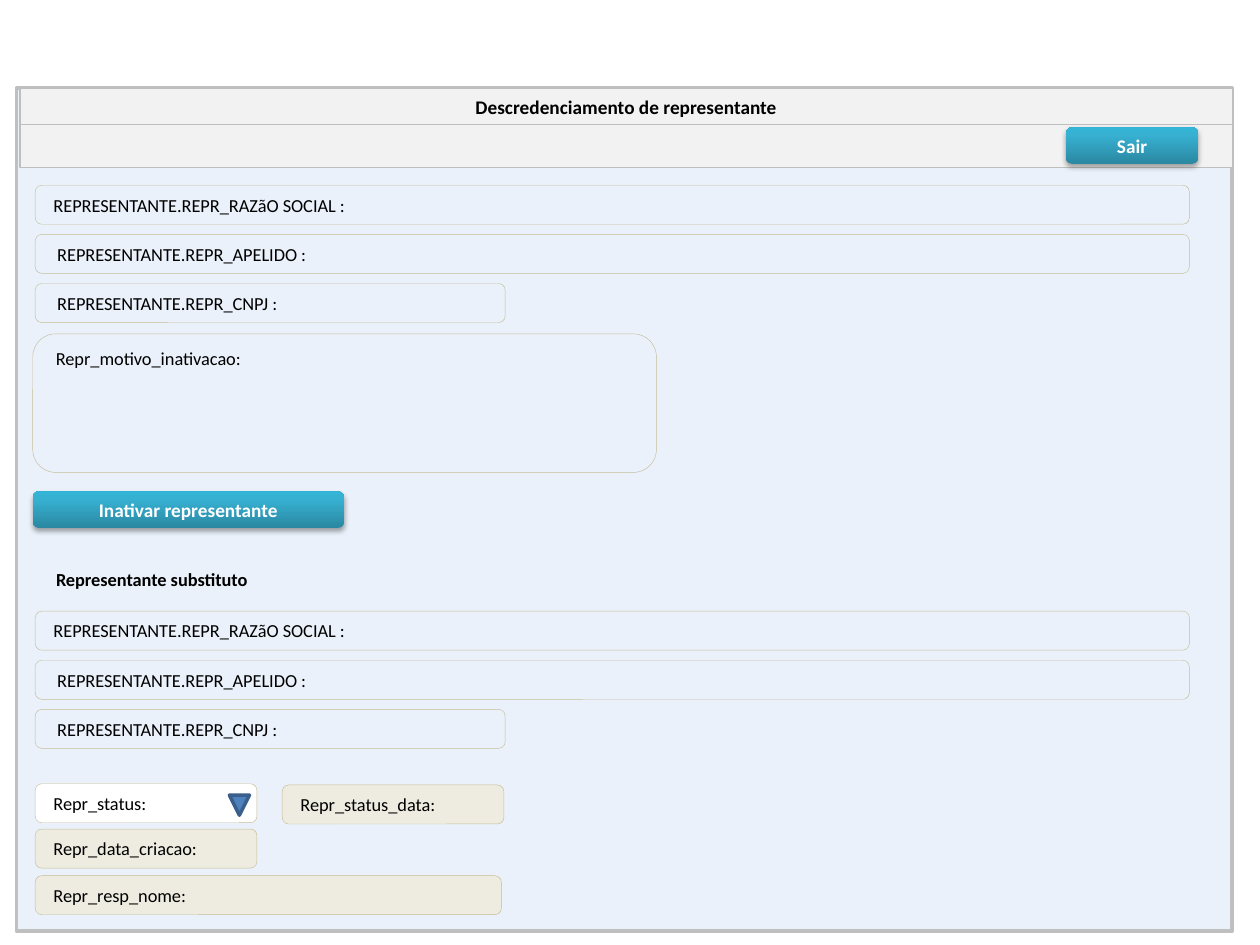
from dataclasses import dataclass
from typing import Optional

from pptx import Presentation
from pptx.dml.color import RGBColor
from pptx.enum.shapes import MSO_SHAPE
from pptx.enum.text import MSO_ANCHOR, MSO_AUTO_SIZE, PP_ALIGN
from pptx.oxml import parse_xml
from pptx.oxml.ns import qn
from pptx.util import Inches, Pt

RECT, ROUNDED = MSO_SHAPE.RECTANGLE, MSO_SHAPE.ROUNDED_RECTANGLE
TRIANGLE = MSO_SHAPE.FLOWCHART_EXTRACT
TOP, MIDDLE = MSO_ANCHOR.TOP, MSO_ANCHOR.MIDDLE
LEFT, CENTER = PP_ALIGN.LEFT, PP_ALIGN.CENTER
TITLE_ONLY = 5
FONT = "Calibri"
DRAWING_NS = 'xmlns:a="http://schemas.openxmlformats.org/drawingml/2006/main"'

COLORS = {
    "panel": "EAF1FA",
    "bar": "F2F2F2",
    "frame": "BFBFBF",
    "field_line": "C4BD97",
    "read_only": "EEECE1",
    "white": "FFFFFF",
    "text": "000000",
    "arrow": "4F81BD",
    "arrow_line": "3A5F8C",
    "button_dark": "2A88A2",
    "button_mid": "37B1D2",
    "button_light": "34B4D6",
}

FIELD_LEFT = 0.28
FIELD_HEIGHT = 0.31
FIELD_PITCH = 0.39
WIDE, MEDIUM, NARROW = 9.16, 3.73, 1.76


@dataclass
class Field:
    label: str
    top: float
    width: float
    left: float = FIELD_LEFT
    height: float = FIELD_HEIGHT
    indent: float = 0.13
    fill: Optional[str] = None
    line: Optional[str] = "field_line"
    anchor: MSO_ANCHOR = MIDDLE
    bold: bool = False


@dataclass
class Button:
    label: str
    left: float
    top: float
    width: float


def representative_fields(top: float) -> list[Field]:
    return [
        Field("REPRESENTANTE.REPR_RAZãO SOCIAL :", top, WIDE),
        Field("REPRESENTANTE.REPR_APELIDO :", top + FIELD_PITCH, WIDE, indent=0.16),
        Field("REPRESENTANTE.REPR_CNPJ :", top + 2 * FIELD_PITCH, MEDIUM, indent=0.16),
    ]


FIELDS = [
    *representative_fields(1.47),
    Field("Repr_motivo_inativacao:", 2.65, 4.95, left=0.26, height=1.1, anchor=TOP),
    Field("Representante substituto", 4.44, MEDIUM, left=0.3, line=None, bold=True),
    *representative_fields(4.85),
    Field("Repr_status:", 6.22, NARROW, fill="white"),
    Field("Repr_status_data:", 6.23, NARROW, left=2.24, fill="read_only"),
    Field("Repr_data_criacao:", 6.58, NARROW, fill="read_only"),
    Field("Repr_resp_nome:", 6.95, 3.7, fill="read_only"),
]
BUTTONS = [
    Button("Sair", 8.46, 1.01, 1.05),
    Button("Inativar representante", 0.26, 3.9, 2.47),
]


def paint(shape, fill: Optional[str], line: Optional[str], width: float = 0.75) -> None:
    if fill:
        shape.fill.solid()
        shape.fill.fore_color.rgb = RGBColor.from_string(COLORS[fill])
    else:
        shape.fill.background()
    if line:
        shape.line.color.rgb = RGBColor.from_string(COLORS[line])
        shape.line.width = Pt(width)
    else:
        shape.line.fill.background()


def add_box(slide, kind: MSO_SHAPE, left: float, top: float, width: float, height: float):
    box = slide.shapes.add_shape(
        kind, Inches(left), Inches(top), Inches(width), Inches(height)
    )
    box.shadow.inherit = False
    return box


def write(shape, label: str, size: float, color: str = "text", bold: bool = False,
          align: PP_ALIGN = CENTER, anchor: MSO_ANCHOR = MIDDLE) -> None:
    frame = shape.text_frame
    frame.text = label
    frame.word_wrap = True
    frame.auto_size = MSO_AUTO_SIZE.NONE
    frame.vertical_anchor = anchor
    paragraph = frame.paragraphs[0]
    paragraph.alignment = align
    paragraph.font.name = FONT
    paragraph.font.size = Pt(size)
    paragraph.font.bold = bold
    paragraph.font.color.rgb = RGBColor.from_string(COLORS[color])


def draw_field(slide, field: Field) -> None:
    box = add_box(slide, ROUNDED, field.left, field.top, field.width, field.height)
    paint(box, field.fill, field.line, 0.25)
    write(box, field.label, 10.5, bold=field.bold, align=LEFT, anchor=field.anchor)
    box.text_frame.margin_left = Inches(field.indent)


def draw_button(slide, button: Button) -> None:
    box = add_box(slide, ROUNDED, button.left, button.top, button.width, 0.29)
    box.line.fill.background()
    stops = [(0, "button_dark"), (80, "button_mid"), (100, "button_light")]
    stop_xml = "".join(
        f'<a:gs pos="{position * 1000}"><a:srgbClr val="{COLORS[color]}"/></a:gs>'
        for position, color in stops
    )
    gradient = parse_xml(
        f'<a:gradFill {DRAWING_NS} rotWithShape="1"><a:gsLst>{stop_xml}</a:gsLst>'
        '<a:lin ang="16200000" scaled="0"/></a:gradFill>'
    )
    shadow = parse_xml(
        f'<a:outerShdw {DRAWING_NS} blurRad="{Pt(3.1)}" dist="{Pt(1.8)}" dir="5400000"'
        f' rotWithShape="0"><a:srgbClr val="{COLORS["text"]}">'
        '<a:alpha val="35000"/></a:srgbClr></a:outerShdw>'
    )
    properties = box.element.spPr
    properties.find(qn("a:prstGeom")).addnext(gradient)
    properties.find(qn("a:effectLst")).append(shadow)
    write(box, button.label, 11, "white", bold=True)


def draw_window(slide) -> None:
    panel = add_box(slide, RECT, 0.13, 0.7, 9.65, 6.69)
    paint(panel, "panel", "frame", 2)

    title = slide.shapes.title
    title.left, title.top = Inches(0.16), Inches(0.7)
    title.width, title.height = Inches(9.62), Inches(0.29)
    paint(title, "bar", "frame")
    write(title, "Descredenciamento de representante", 11, bold=True)
    panel.element.addnext(title.element)

    toolbar = add_box(slide, RECT, 0.16, 0.99, 9.62, 0.34)
    paint(toolbar, "bar", "frame")


def draw_status_arrow(slide) -> None:
    arrow = add_box(slide, TRIANGLE, 1.82, 6.31, 0.16, 0.16)
    arrow.rotation = 180
    paint(arrow, "arrow", "arrow_line", 2)


def main() -> None:
    presentation = Presentation()
    presentation.slide_width = Inches(10)
    presentation.slide_height = Inches(7.5)
    slide = presentation.slides.add_slide(presentation.slide_layouts[TITLE_ONLY])
    draw_window(slide)
    for field in FIELDS:
        draw_field(slide, field)
    draw_status_arrow(slide)
    for button in BUTTONS:
        draw_button(slide, button)
    presentation.save("out.pptx")


if __name__ == "__main__":
    main()
